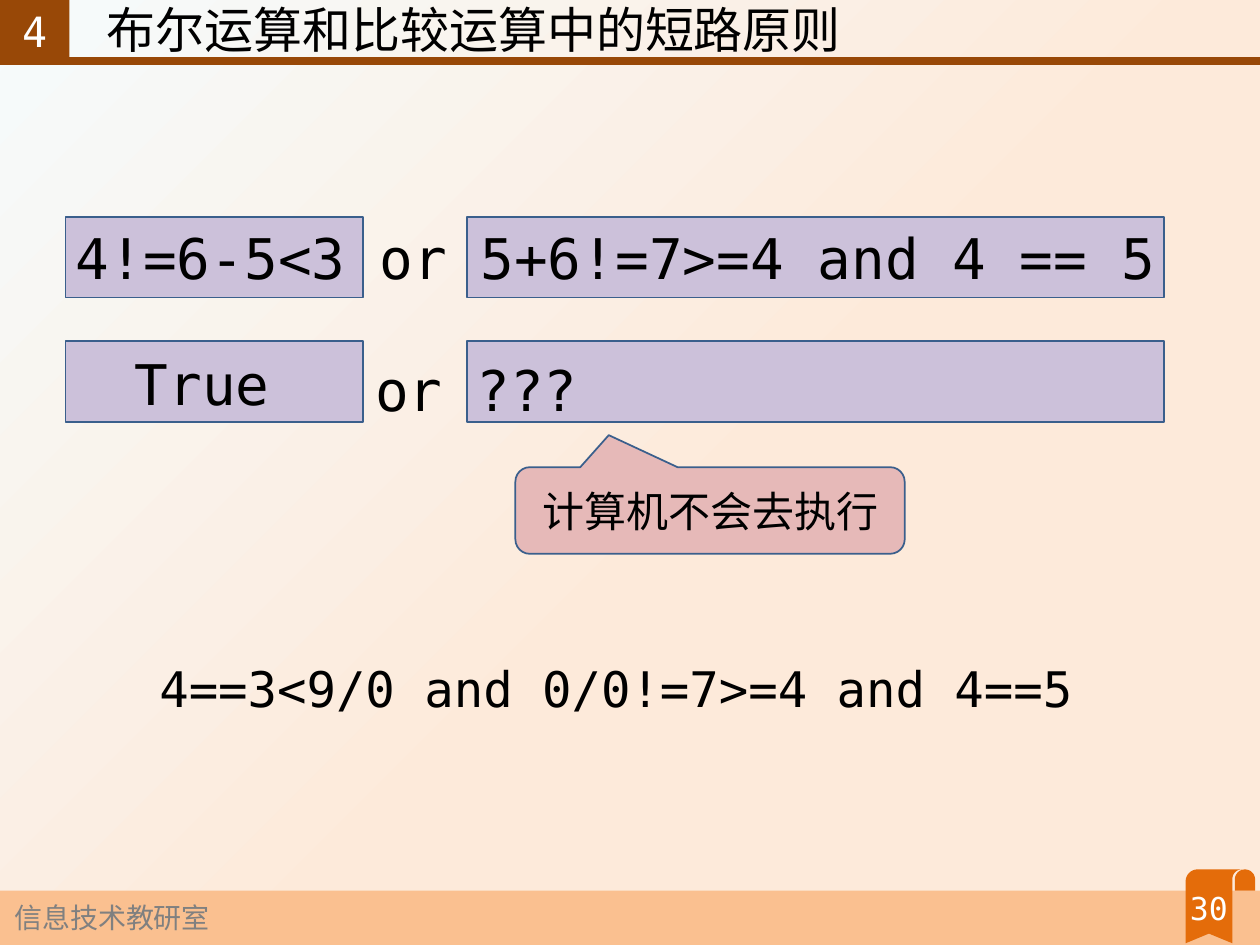
"""Build the slide on short-circuit evaluation of Boolean and comparison operations."""
from dataclasses import dataclass
from math import cos, radians, sin

from lxml import etree
from pptx import Presentation
from pptx.dml.color import RGBColor
from pptx.enum.shapes import MSO_CONNECTOR, MSO_SHAPE
from pptx.enum.text import MSO_ANCHOR, PP_ALIGN
from pptx.oxml.ns import qn
from pptx.util import Pt

RECT, CALLOUT = MSO_SHAPE.RECTANGLE, MSO_SHAPE.ROUNDED_RECTANGULAR_CALLOUT
STRAIGHT = MSO_CONNECTOR.STRAIGHT
TOP, MIDDLE = MSO_ANCHOR.TOP, MSO_ANCHOR.MIDDLE
LEFT, CENTER = PP_ALIGN.LEFT, PP_ALIGN.CENTER


@dataclass(frozen=True)
class Theme:
    mono: str = "DejaVu Sans Mono"
    cjk: str = "Noto Sans CJK JP"
    ink: str = "000000"
    white: str = "FFFFFF"
    muted: str = "808080"
    brown: str = "984807"
    ribbon: str = "E46C0A"
    footer: str = "FAC090"
    operand: str = "CCC1DA"
    note: str = "E6B9B8"
    outline: str = "3A5F8C"
    sky: str = "F6FBFC"
    cream: str = "FDEADA"
    code_size: float = 32
    title_size: float = 28
    note_size: float = 24
    number_size: float = 23.8
    page_size: float = 18
    footer_size: float = 16


@dataclass(frozen=True)
class Box:
    left: float
    top: float
    width: float
    height: float

    def lengths(self) -> tuple:
        return Pt(self.left), Pt(self.top), Pt(self.width), Pt(self.height)


@dataclass(frozen=True)
class Label:
    box: Box
    words: str
    size: float
    color: str = Theme.ink
    align: int = CENTER
    anchor: int = TOP
    wrap: bool = True
    font: str = Theme.mono


THEME = Theme()
SLIDE_WIDTH, SLIDE_HEIGHT = 720, 540
ROW_TOPS = (195, 124)
ROW_HEIGHT = 46
OPERAND_SPANS = ((37.5, 170), (267, 398))
TITLE = Label(Box(39.6, 0.7, 465, 35.3), "布尔运算和比较运算中的短路原则",
              THEME.title_size, align=LEFT, anchor=MIDDLE)
SECTION = Label(Box(0, -0.7, 39.6, 36.7), "4", THEME.number_size, THEME.white, anchor=MIDDLE)
NOTE = Label(Box(294.5, 267, 222.5, 49.5), "计算机不会去执行", THEME.note_size, anchor=MIDDLE)
LABELS = (
    Label(Box(1.2, 511, 127.5, 26.5), "信息技术教研室", THEME.footer_size, THEME.muted,
          LEFT, wrap=False, font=THEME.cjk),
    Label(Box(665.3, 504.7, 51, 29), "30", THEME.page_size, THEME.white),
    Label(Box(25, 124, 654, ROW_HEIGHT), "4!=6-5<3 or 5+6!=7>=4 and 4 == 5", THEME.code_size),
    Label(Box(70, 196, 92, ROW_HEIGHT), "True", THEME.code_size, align=LEFT, wrap=False),
    Label(Box(207.3, 199.5, 131, ROW_HEIGHT), "or ???", THEME.code_size, align=LEFT, wrap=False),
    Label(Box(25, 373, 654, 41), "4==3<9/0 and 0/0!=7>=4 and 4==5", THEME.title_size),
)


def rgb(color: str) -> RGBColor:
    return RGBColor.from_string(color)


def write(shape, label: Label):
    frame = shape.text_frame
    frame.text = label.words
    frame.word_wrap = label.wrap
    frame.vertical_anchor = label.anchor
    paragraph = frame.paragraphs[0]
    paragraph.alignment = label.align
    font = paragraph.runs[0].font
    font.size, font.name = Pt(label.size), label.font
    font.color.rgb = rgb(label.color)
    etree.SubElement(paragraph.runs[0].font._element, qn("a:ea"), typeface=THEME.cjk)
    return paragraph


def add_label(slide, label: Label):
    return write(slide.shapes.add_textbox(*label.box.lengths()), label)


def paint(shape, fill: str, outline: str | None = None) -> None:
    shape.shadow.inherit = False
    shape.fill.solid()
    shape.fill.fore_color.rgb = rgb(fill)
    if outline:
        shape.line.color.rgb = rgb(outline)
        shape.line.width = Pt(1)
    else:
        shape.line.fill.background()


def add_panel(slide, kind: int, box: Box, fill: str, outline: str | None = None):
    panel = slide.shapes.add_shape(kind, *box.lengths())
    paint(panel, fill, outline)
    return panel


def arc(x: float, y: float, radius: float, start: int, end: int) -> list:
    step = 10 if end > start else -10
    return [(Pt(x + radius * cos(radians(angle))), Pt(y + radius * sin(radians(angle))))
            for angle in range(start, end + step, step)]


def add_ribbon(slide) -> None:
    curl = arc(711.4, 502.6, 5.8, 180, 360) + [(Pt(717.2), Pt(509)), (Pt(705.6), Pt(509))]
    tail = [(Pt(704.2), Pt(539)), (Pt(690.8), Pt(533.5)), (Pt(677.5), Pt(539))]
    banner = arc(684.3, 503.6, 6.8, 180, 270) + arc(709.6, 502.2, 5.4, 270, 180) + tail
    builder = slide.shapes.build_freeform(*curl[0])
    builder.add_line_segments(curl[1:])
    builder.move_to(*banner[0])
    builder.add_line_segments(banner[1:])
    paint(builder.convert_to_shape(), THEME.ribbon)


def set_background(slide) -> None:
    fill = slide.background.fill
    fill.gradient()
    fill.gradient_angle = 315
    stops = ((0, THEME.sky), (0.56, THEME.cream))
    for stop, (position, color) in zip(fill.gradient_stops, stops):
        stop.position = position
        stop.color.rgb = rgb(color)


def add_header_rule(slide) -> None:
    rule = slide.shapes.add_connector(STRAIGHT, 0, Pt(34.7), Pt(SLIDE_WIDTH), Pt(34.7))
    rule.line.color.rgb = rgb(THEME.brown)
    rule.line.width = Pt(4.5)
    etree.SubElement(rule._element.spPr, qn("a:effectLst"))


def main() -> None:
    deck = Presentation()
    deck.slide_width, deck.slide_height = Pt(SLIDE_WIDTH), Pt(SLIDE_HEIGHT)
    slide = deck.slides.add_slide(deck.slide_layouts[6])
    set_background(slide)
    add_header_rule(slide)
    add_panel(slide, RECT, Box(0, 509, SLIDE_WIDTH, 31), THEME.footer)
    add_ribbon(slide)
    for top in ROW_TOPS:
        for left, width in OPERAND_SPANS:
            add_panel(slide, RECT, Box(left, top, width, ROW_HEIGHT), THEME.operand, THEME.outline)
    title = add_label(slide, TITLE)
    title.line_spacing = 0.9
    title._p.get_or_add_pPr().set("marL", str(Pt(14.4)))
    write(add_panel(slide, RECT, SECTION.box, THEME.brown), SECTION)
    for label in LABELS:
        add_label(slide, label)
    callout = add_panel(slide, CALLOUT, NOTE.box, THEME.note, THEME.outline)
    callout.adjustments[0], callout.adjustments[1] = -0.26, -0.87
    write(callout, NOTE)
    deck.save("out.pptx")


if __name__ == "__main__":
    main()
